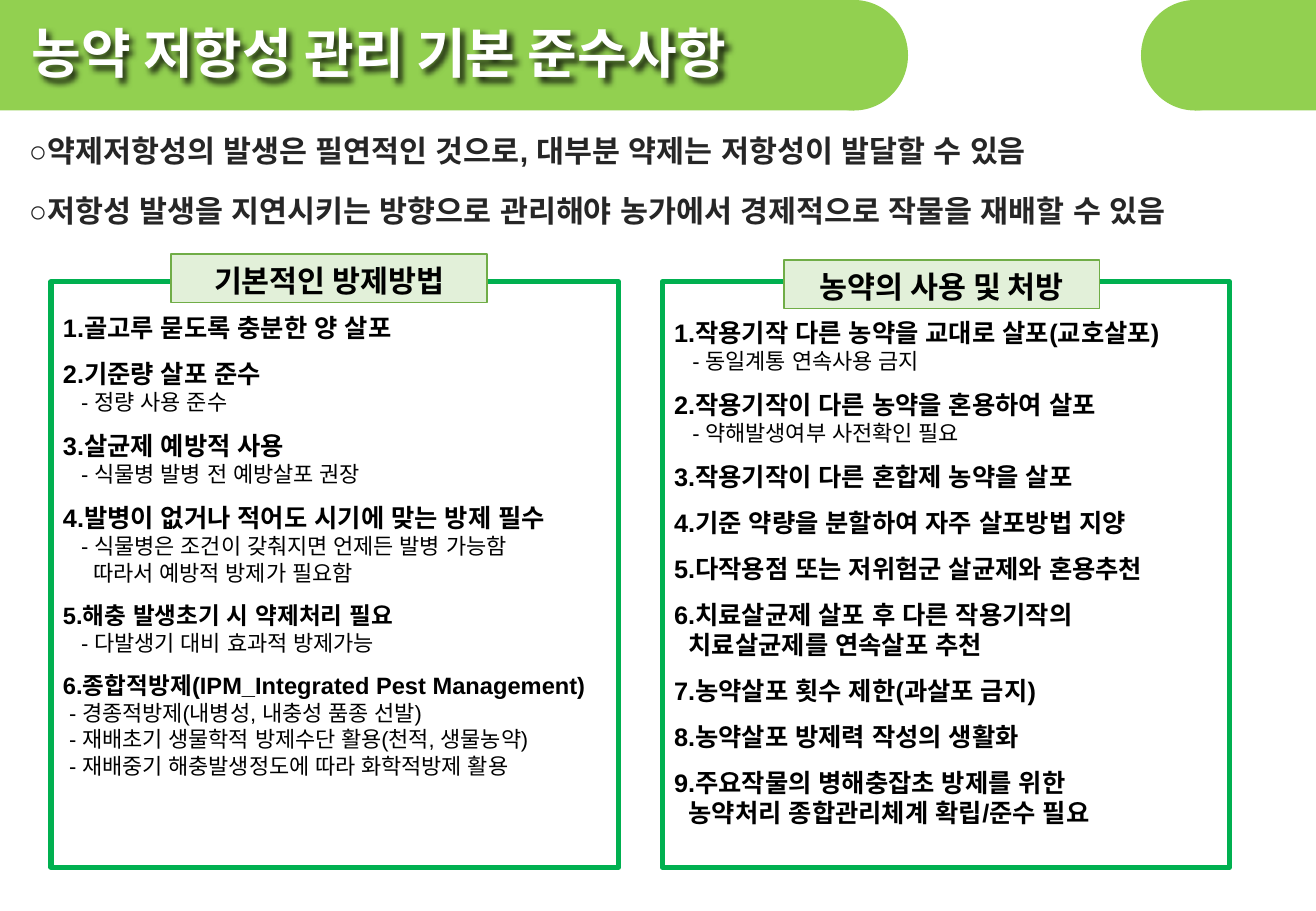
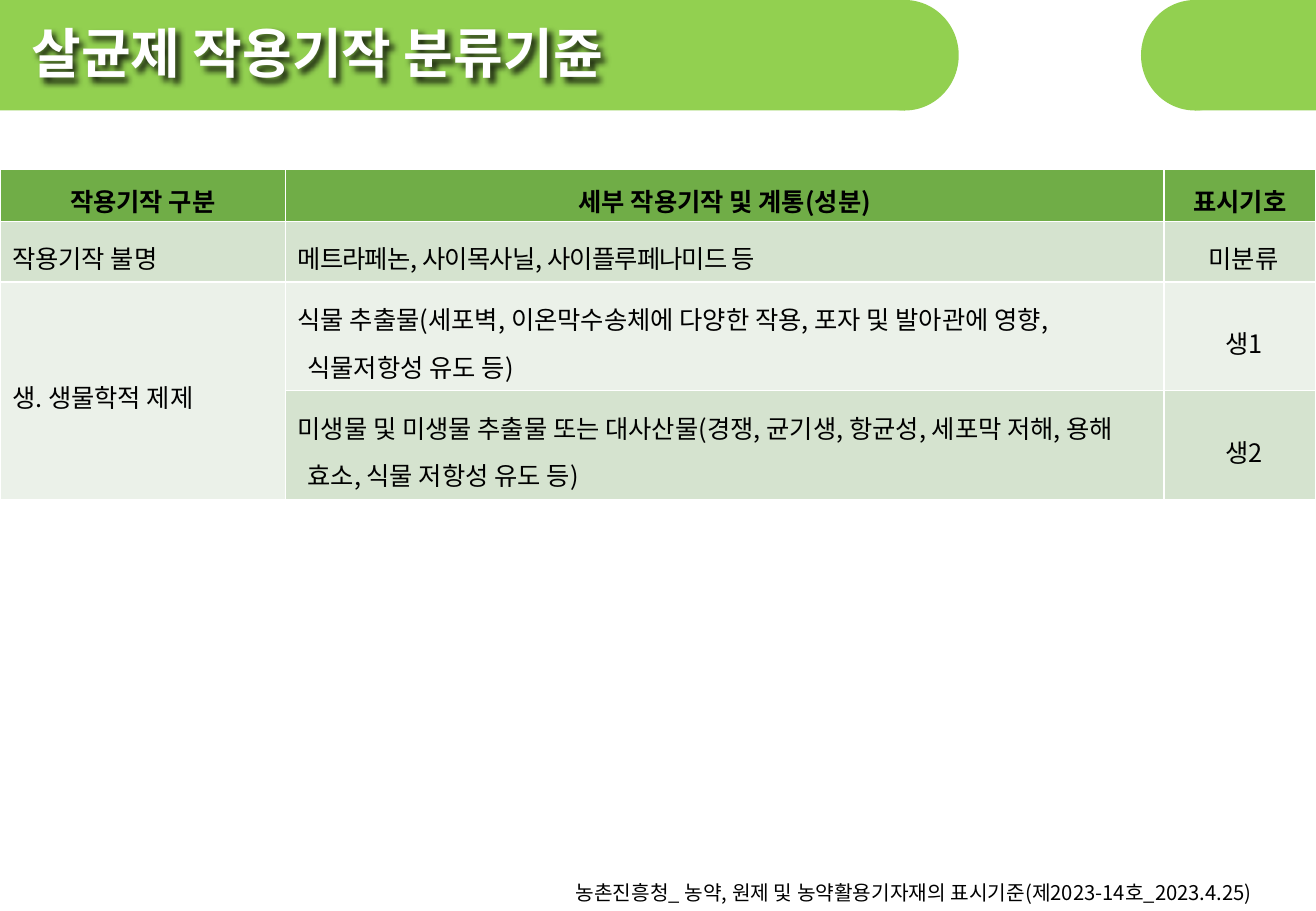
from lxml.etree import SubElement
from pptx import Presentation
from pptx.dml.color import RGBColor
from pptx.enum.shapes import MSO_SHAPE
from pptx.enum.text import MSO_ANCHOR, PP_ALIGN
from pptx.oxml.ns import qn
from pptx.util import Emu, Inches, Pt

WIDTH, HEIGHT = Inches(10.83), Inches(7.5)
BAND, PANEL_LINE, LABEL_FILL, HEADER = "92D050", "00B050", "E2F0D9", "70AD47"
DARK_ROW, LIGHT_ROW = "D5E3CF", "EBF1E9"
BLACK, WHITE, INTRO_TEXT = "000000", "FFFFFF", "262626"
KOREAN, LATIN, LABEL_FONT = "Noto Sans CJK KR", "Arial", "Calibri"
BAND_HEIGHT, CAP_WIDTH, RIGHT_BAND = 12.13, 8.22, 86.7
PANEL_TOP, PANEL_WIDTH, PANEL_HEIGHT = 30.93, 43.12, 64.27
LABEL_WIDTH, LABEL_HEIGHT = 24, 5.33

# name: size, bold, indent in inches, space before in points
LINE_STYLES = {
    "item": (15, True, 0, 9.2),
    "tight item": (14, True, 0, 9.2),
    "item end": (15, True, 0.12, 0),
    "note": (13, False, 0.15, 0),
    "note end": (13, False, 0.25, 0),
    "point": (13, False, 0.05, 0),
}

INTRO = [
    "○약제저항성의 발생은 필연적인 것으로, 대부분 약제는 저항성이 발달할 수 있음",
    "○저항성 발생을 지연시키는 방향으로 관리해야 농가에서 경제적으로 작물을 재배할 수 있음",
]

CONTROL_LINES = [
    ("item", "1.골고루 묻도록 충분한 양 살포"),
    ("item", "2.기준량 살포 준수"),
    ("note", "- 정량 사용 준수"),
    ("item", "3.살균제 예방적 사용"),
    ("note", "- 식물병 발병 전 예방살포 권장"),
    ("item", "4.발병이 없거나 적어도 시기에 맞는 방제 필수"),
    ("note", "- 식물병은 조건이 갖춰지면 언제든 발병 가능함"),
    ("note end", "따라서 예방적 방제가 필요함"),
    ("tight item", "5.해충 발생초기 시 약제처리 필요"),
    ("note", "- 다발생기 대비 효과적 방제가능"),
    ("tight item", "6.종합적방제(IPM_Integrated Pest Management)"),
    ("point", "- 경종적방제(내병성, 내충성 품종 선발)"),
    ("point", "- 재배초기 생물학적 방제수단 활용(천적, 생물농약)"),
    ("point", "- 재배중기 해충발생정도에 따라 화학적방제 활용"),
]

USAGE_LINES = [
    ("item", "1.작용기작 다른 농약을 교대로 살포(교호살포)"),
    ("note", "- 동일계통 연속사용 금지"),
    ("item", "2.작용기작이 다른 농약을 혼용하여 살포"),
    ("note", "- 약해발생여부 사전확인 필요"),
    ("item", "3.작용기작이 다른 혼합제 농약을 살포"),
    ("item", "4.기준 약량을 분할하여 자주 살포방법 지양"),
    ("item", "5.다작용점 또는 저위험군 살균제와 혼용추천"),
    ("item", "6.치료살균제 살포 후 다른 작용기작의"),
    ("item end", "치료살균제를 연속살포 추천"),
    ("item", "7.농약살포 횟수 제한(과살포 금지)"),
    ("item", "8.농약살포 방제력 작성의 생활화"),
    ("item", "9.주요작물의 병해충잡초 방제를 위한"),
    ("item end", "농약처리 종합관리체계 확립/준수 필요"),
]

TABLE_COLUMNS = [21.7, 66.76, 11.54]
TABLE_ROWS = [5.47, 5.73, 10.13, 10.13]
TABLE_TEXT = [
    ["작용기작 구분", "세부 작용기작 및 계통(성분)", "표시기호"],
    ["작용기작 불명", "메트라페논, 사이목사닐, 사이플루페나미드 등", "미분류"],
    ["생. 생물학적 제제",
     "식물 추출물(세포벽, 이온막수송체에 다양한 작용, 포자 및 발아관에 영향, "
     "식물저항성 유도 등)", "생1"],
    ["", "미생물 및 미생물 추출물 또는 대사산물(경쟁, 균기생, 항균성, 세포막 저해, "
     "용해 효소, 식물 저항성 유도 등)", "생2"],
]


def across(share):
    """Turn a percentage of the slide width into a length."""
    return Emu(round(WIDTH * share / 100))


def down(share):
    """Turn a percentage of the slide height into a length."""
    return Emu(round(HEIGHT * share / 100))


def place(left, top, width, height):
    """Turn four percentages into a position and a size."""
    return across(left), down(top), across(width), down(height)


def color(code):
    """Turn a hex string into a colour."""
    return RGBColor.from_string(code)


def format_text(para, size, font, code, bold=False):
    """Format every run for both Latin and Korean letters."""
    for span in para.runs:
        span.font.size, span.font.bold, span.font.name = Pt(size), bold, font
        span.font.color.rgb = color(code)
        SubElement(span.font._element, qn("a:ea")).set("typeface", font)


def indent(para, left, first=0):
    """Set the left and first-line indents in inches."""
    properties = para._p.get_or_add_pPr()
    properties.set("marL", str(Inches(left)))
    properties.set("indent", str(Inches(first)))


def set_margins(target, left, top, right, bottom):
    """Set the four inner margins of a frame or cell in inches."""
    target.margin_left, target.margin_top = Inches(left), Inches(top)
    target.margin_right, target.margin_bottom = Inches(right), Inches(bottom)


def add_paragraphs(frame, lines):
    """Fill a frame with one paragraph per line and return them."""
    frame.text = "\n".join(lines)
    return frame.paragraphs


def add_box(slide, kind, area, fill=None, line=None, weight=1):
    """Add a flat shape with an optional fill and outline."""
    box = slide.shapes.add_shape(kind, *place(*area))
    box.shadow.inherit = False
    if fill:
        box.fill.solid()
        box.fill.fore_color.rgb = color(fill)
    else:
        box.fill.background()
    if line:
        box.line.color.rgb, box.line.width = color(line), Pt(weight)
    else:
        box.line.fill.background()
    return box


def add_text(slide, area, lines):
    """Add a wrapping text box and return its paragraphs."""
    frame = slide.shapes.add_textbox(*place(*area)).text_frame
    frame.word_wrap = True
    return add_paragraphs(frame, lines)


def add_text_shadow(shape):
    """Give an unfilled shape a soft shadow behind its letters."""
    shape.shadow.inherit = False
    effects = shape._element.spPr.find(qn("a:effectLst"))
    shadow = SubElement(effects, qn("a:outerShdw"), blurRad="50800",
                        dist="38100", dir="2700000", algn="tl")
    tone = SubElement(shadow, qn("a:srgbClr"), val=BLACK)
    SubElement(tone, qn("a:alpha"), val="80000")


def add_slide(deck, title, band_end):
    """Add a slide with the two rounded bands and its title."""
    slide = deck.slides.add_slide(deck.slide_layouts[5])
    half = CAP_WIDTH / 2
    right_start = RIGHT_BAND + half
    for cap, start, width in ((band_end - CAP_WIDTH, 0, band_end - half),
                              (RIGHT_BAND, right_start, 100 - right_start)):
        add_box(slide, MSO_SHAPE.OVAL, (cap, 0, CAP_WIDTH, BAND_HEIGHT), BAND)
        add_box(slide, MSO_SHAPE.RECTANGLE, (start, 0, width, BAND_HEIGHT), BAND)
    holder = slide.shapes.title
    holder.left, holder.top, holder.width, holder.height = place(2.4, 1.87, 70.54, 7.73)
    frame = holder.text_frame
    frame.text = title
    frame.word_wrap, frame.vertical_anchor = False, MSO_ANCHOR.MIDDLE
    set_margins(frame, 0, 0, 0, 0)
    frame.paragraphs[0].alignment = PP_ALIGN.LEFT
    format_text(frame.paragraphs[0], 32, KOREAN, WHITE, True)
    add_text_shadow(holder)
    slide.shapes._spTree.append(holder._element)
    return slide


def add_panel(slide, left, margin, lines):
    """Add an outlined panel holding a numbered list."""
    area = (left, PANEL_TOP, PANEL_WIDTH, PANEL_HEIGHT)
    box = add_box(slide, MSO_SHAPE.RECTANGLE, area, line=PANEL_LINE, weight=3)
    frame = box.text_frame
    frame.word_wrap, frame.vertical_anchor = True, MSO_ANCHOR.TOP
    set_margins(frame, 0.1, margin, 0, 0)
    paragraphs = add_paragraphs(frame, [text for _, text in lines])
    for number, (para, (style, _)) in enumerate(zip(paragraphs, lines)):
        size, bold, left_indent, gap = LINE_STYLES[style]
        para.alignment = PP_ALIGN.LEFT
        indent(para, left_indent)
        para.space_before = Pt(gap if number else 0)
        format_text(para, size, LATIN, BLACK, bold)


def add_label(slide, left, top, text):
    """Add the heading plate that sits on a panel's upper edge."""
    area = (left, top, LABEL_WIDTH, LABEL_HEIGHT)
    box = add_box(slide, MSO_SHAPE.RECTANGLE, area, LABEL_FILL, HEADER)
    frame = box.text_frame
    frame.vertical_anchor = MSO_ANCHOR.MIDDLE
    set_margins(frame, 0.1, 0.08, 0.1, 0.04)
    frame.text = text
    frame.paragraphs[0].alignment = PP_ALIGN.CENTER
    format_text(frame.paragraphs[0], 18, LABEL_FONT, BLACK, True)


def format_cell(cell, row, column):
    """Format one table cell by its row and column."""
    heading = row == 0
    cell.fill.solid()
    cell.fill.fore_color.rgb = color((HEADER, DARK_ROW, LIGHT_ROW, DARK_ROW)[row])
    cell.vertical_anchor = MSO_ANCHOR.MIDDLE
    set_margins(cell, *((0.07, 0.02, 0.07, 0.02) if heading else (0.1, 0.06, 0.04, 0.05)))
    para = cell.text_frame.paragraphs[0]
    para.line_spacing = 1.3
    if heading or column == 2:
        para.alignment = PP_ALIGN.CENTER
    elif column == 0 or row == 1:
        para.alignment = PP_ALIGN.JUSTIFY
    else:
        para.alignment = PP_ALIGN.LEFT
    if column == 1 and not heading:
        hang = 0.06 if row == 1 else 0.08
        indent(para, hang, -hang)
    format_text(para, 15, KOREAN, BLACK, heading)


def add_mode_table(slide):
    """Add the table of modes of action."""
    area = place(0, 18.53, 100, sum(TABLE_ROWS))
    table = slide.shapes.add_table(len(TABLE_ROWS), len(TABLE_COLUMNS), *area).table
    table.horz_banding = False
    for column, share in zip(table.columns, TABLE_COLUMNS):
        column.width = across(share)
    for row, share in zip(table.rows, TABLE_ROWS):
        row.height = down(share)
    for row, texts in enumerate(TABLE_TEXT):
        for column, text in enumerate(texts):
            cell = table.cell(row, column)
            cell.text = text
            format_cell(cell, row, column)
    table.cell(2, 0).merge(table.cell(3, 0))
    compounds = table.cell(1, 1).text_frame.paragraphs[0].runs[0]
    compounds.font._element.set("spc", "-50")


def build_rules_slide(deck):
    """Build the slide of basic resistance rules."""
    slide = add_slide(deck, "농약 저항성 관리 기본 준수사항", 69)
    for number, para in enumerate(add_text(slide, (0, 13.87, 100, BAND_HEIGHT), INTRO)):
        indent(para, 0.14)
        para.space_before = Pt(14 * number)
        format_text(para, 18, LATIN, INTRO_TEXT, True)
    add_panel(slide, 3.88, 0.25, CONTROL_LINES)
    add_panel(slide, 50.32, 0.29, USAGE_LINES)
    add_label(slide, 59.56, 28.53, "농약의 사용 및 처방")
    add_label(slide, 13.02, 27.87, "기본적인 방제방법")


def build_modes_slide(deck):
    """Build the slide of fungicide classes."""
    slide = add_slide(deck, "살균제 작용기작 분류기쥰", 72.85)
    add_mode_table(slide)
    source = "농촌진흥청_ 농약, 원제 및 농약활용기자재의 표시기준(제2023-14호_2023.4.25)"
    for para in add_text(slide, (42.84, 96, 57.16, 4), [source]):
        format_text(para, 12, KOREAN, BLACK)


def main():
    """Build and save the deck."""
    deck = Presentation()
    deck.slide_width, deck.slide_height = WIDTH, HEIGHT
    build_rules_slide(deck)
    build_modes_slide(deck)
    deck.save("out.pptx")


if __name__ == "__main__":
    main()
